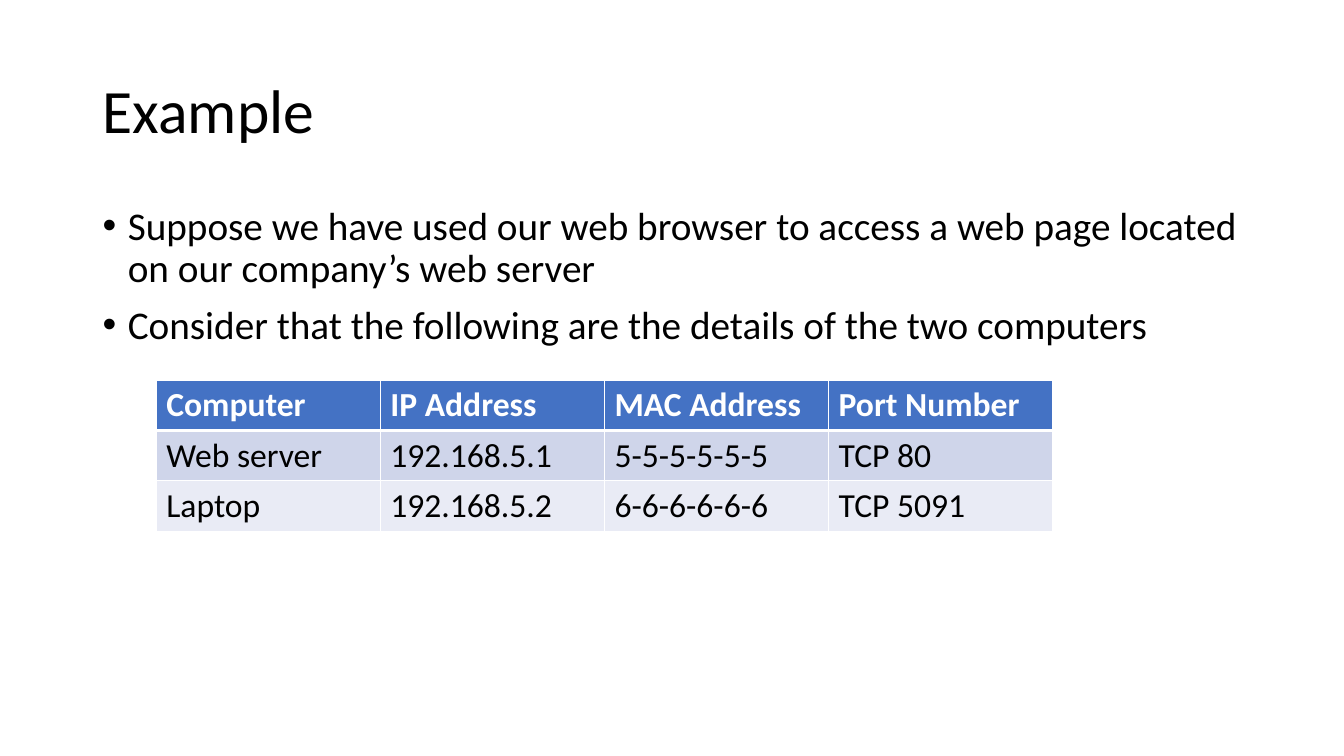
from dataclasses import dataclass

from lxml import etree
from pptx import Presentation
from pptx.dml.color import RGBColor
from pptx.enum import text
from pptx.oxml import ns
from pptx.util import Inches, Pt

FONT = "Calibri"
COLORS = {"black": "000000", "white": "FFFFFF", "header": "4472C4",
          "odd": "CFD5EA", "even": "E9EBF5"}
THIN, THICK = 1, 3


@dataclass(frozen=True)
class TextBlock:
    left: float
    top: float
    width: float
    height: float
    size: int
    anchor: text.MSO_ANCHOR
    lines: tuple[str, ...]
    bulleted: bool = False


@dataclass(frozen=True)
class TableRow:
    values: tuple[str, ...]
    fill: str
    color: str = "black"
    bold: bool = False
    top_line: int = THIN
    bottom_line: int = THIN


BLOCKS = (
    TextBlock(0.92, 0.4, 11.5, 1.45, 44, text.MSO_ANCHOR.MIDDLE, ("Example",)),
    TextBlock(0.92, 2, 11.5, 4.76, 28, text.MSO_ANCHOR.TOP, (
        "Suppose we have used our web browser to access a web page located "
        "on our company’s web server",
        "Consider that the following are the details of the two computers",
    ), bulleted=True),
)
ROWS = (
    TableRow(("Computer", "IP Address", "MAC Address", "Port Number"),
             "header", "white", bold=True, bottom_line=THICK),
    TableRow(("Web server", "192.168.5.1", "5-5-5-5-5-5", "TCP 80"),
             "odd", top_line=THICK),
    TableRow(("Laptop", "192.168.5.2", "6-6-6-6-6-6", "TCP 5091"), "even"),
)


def rgb(name: str) -> RGBColor:
    return RGBColor.from_string(COLORS[name])


def add_run(p, content: str, size: int, color: str = "black", bold: bool = False) -> None:
    r = p.add_run()
    r.text = content
    r.font.name = FONT
    r.font.size = Pt(size)
    r.font.bold = bold
    r.font.color.rgb = rgb(color)


def add_bullet(p) -> None:
    """Give the paragraph a round bullet with a hanging indent."""
    props = p._p.get_or_add_pPr()
    props.set("marL", str(Inches(0.25)))
    props.set("indent", str(Inches(-0.25)))
    etree.SubElement(props, ns.qn("a:buFont"), typeface="Arial")
    etree.SubElement(props, ns.qn("a:buChar"), char="•")


def add_text(slide, block: TextBlock) -> None:
    box = slide.shapes.add_textbox(Inches(block.left), Inches(block.top),
                                   Inches(block.width), Inches(block.height))
    tf = box.text_frame
    tf.word_wrap = True
    tf.vertical_anchor = block.anchor
    for i, line in enumerate(block.lines):
        p = tf.add_paragraph() if i else tf.paragraphs[0]
        if block.bulleted:
            add_bullet(p)
        p.line_spacing = 0.9
        if i:
            p.space_before = Pt(10)
        add_run(p, line, block.size)


def set_borders(cell, row: TableRow) -> None:
    widths = {"lnL": THIN, "lnR": THIN, "lnT": row.top_line, "lnB": row.bottom_line}
    props = cell._tc.get_or_add_tcPr()
    for side, width in widths.items():
        line = etree.SubElement(props, ns.qn(f"a:{side}"), w=str(Pt(width)))
        fill = etree.SubElement(line, ns.qn("a:solidFill"))
        etree.SubElement(fill, ns.qn("a:srgbClr"), val=COLORS["white"])


def add_computer_table(slide, rows: tuple[TableRow, ...]) -> None:
    table = slide.shapes.add_table(len(rows), len(rows[0].values), Inches(1.55), Inches(3.77),
                                   Inches(8.89), Inches(1.5)).table
    for i, row in enumerate(rows):
        for j, value in enumerate(row.values):
            cell = table.cell(i, j)
            set_borders(cell, row)
            cell.fill.solid()
            cell.fill.fore_color.rgb = rgb(row.fill)
            add_run(cell.text_frame.paragraphs[0], value, 24, row.color, row.bold)


def main() -> None:
    prs = Presentation()
    prs.slide_width, prs.slide_height = Inches(13.33), Inches(7.5)
    slide = prs.slides.add_slide(prs.slide_layouts[6])
    for block in BLOCKS:
        add_text(slide, block)
    add_computer_table(slide, ROWS)
    prs.save("out.pptx")


if __name__ == "__main__":
    main()
